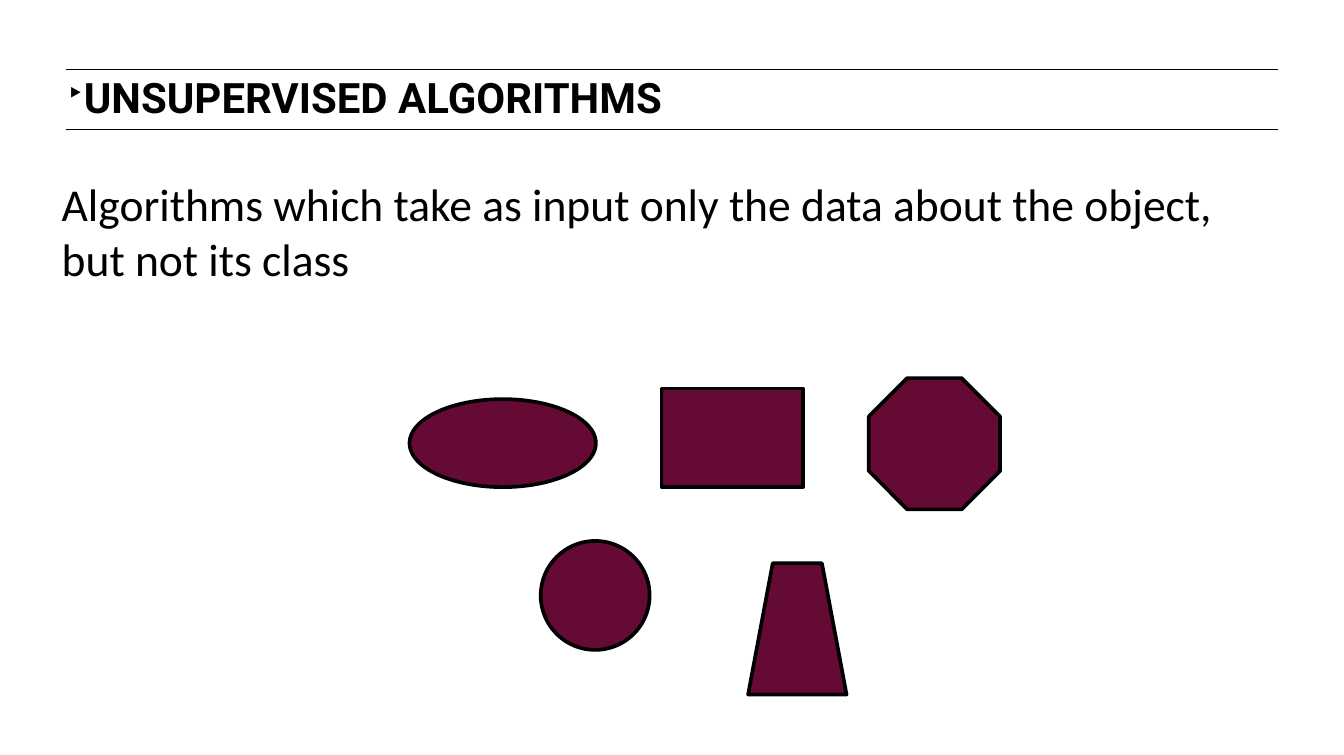
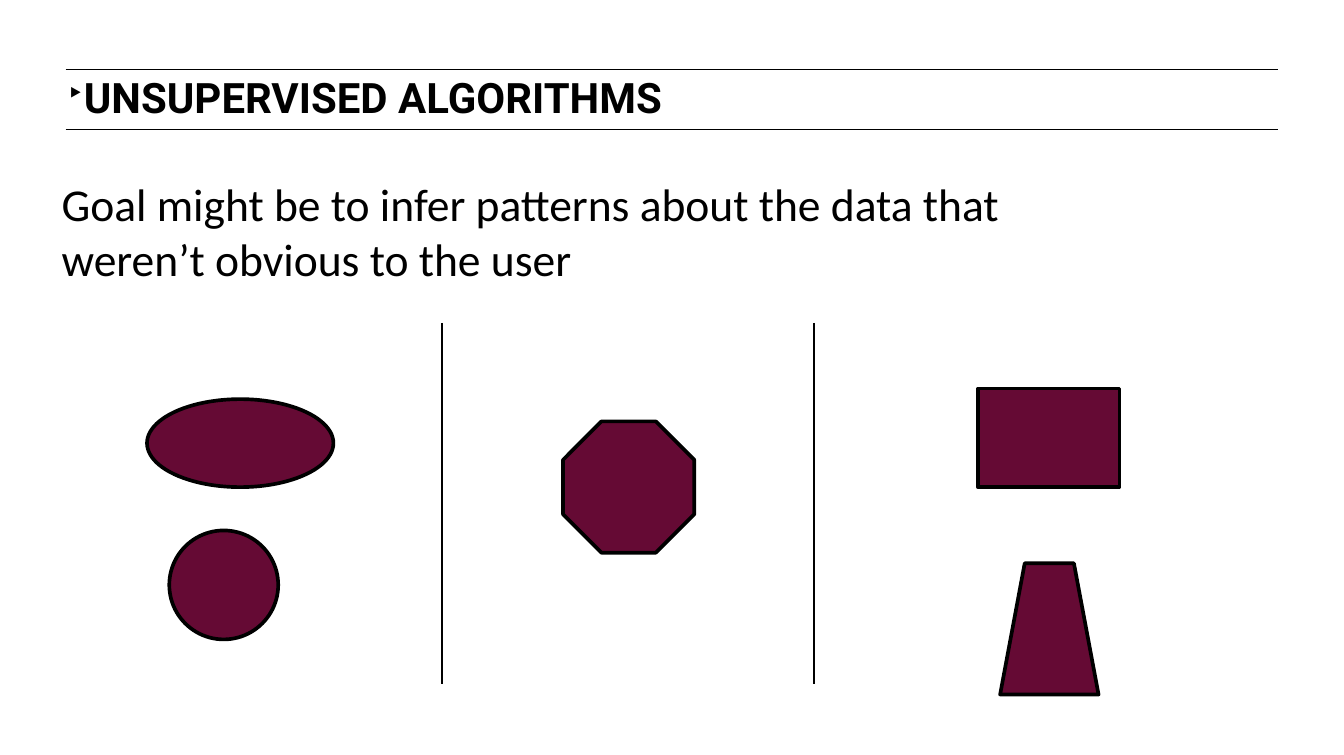
from dataclasses import dataclass

from lxml.etree import SubElement
from pptx import Presentation
from pptx.dml.color import RGBColor
from pptx.enum.shapes import MSO_CONNECTOR, MSO_SHAPE
from pptx.enum.text import MSO_ANCHOR, MSO_AUTO_SIZE, PP_ALIGN
from pptx.oxml.ns import qn
from pptx.shapes.autoshape import Shape
from pptx.shapes.connector import Connector
from pptx.slide import Slide, SlideLayout
from pptx.util import Inches, Pt


@dataclass(frozen=True)
class Theme:
    """Colours, fonts and sizes shared by the slides."""

    ink: RGBColor = RGBColor(0x00, 0x00, 0x00)
    paper: RGBColor = RGBColor(0xFF, 0xFF, 0xFF)
    plum: RGBColor = RGBColor(0x65, 0x0A, 0x34)
    title_font: str = "Roboto"
    body_font: str = "Calibri"
    title_size: Pt = Pt(23)
    title_leading: Pt = Pt(24.5)
    body_size: Pt = Pt(25)
    band_line: Pt = Pt(0.5)
    divider_line: Pt = Pt(1)
    outline: Pt = Pt(2)


@dataclass(frozen=True)
class Form:
    """A preset outline and its size in inches."""

    preset: MSO_SHAPE
    width: float
    height: float


@dataclass(frozen=True)
class Page:
    """The statement, object positions and dividers of one slide."""

    statement: str
    statement_width: float
    positions: dict[str, tuple[float, float]]
    dividers: tuple[float, ...] = ()


THEME = Theme()
TITLE = "UNSUPERVISED ALGORITHMS"
BAND_LEFT, BAND_RIGHT = 0.5, 9.74
BAND_RULES = (0.53, 0.99)
DIVIDER_TOP, DIVIDER_BOTTOM = 2.46, 5.21

FORMS = {
    "rectangle": Form(MSO_SHAPE.RECTANGLE, 1.08, 0.75),
    "circle": Form(MSO_SHAPE.OVAL, 0.83, 0.83),
    "ellipse": Form(MSO_SHAPE.OVAL, 1.42, 0.67),
    "octagon": Form(MSO_SHAPE.OCTAGON, 1, 1),
    "trapezoid": Form(MSO_SHAPE.TRAPEZOID, 0.75, 1),
}

PAGES = (
    Page(
        "Algorithms which take as input only the data about the object, but not its class",
        9,
        {
            "rectangle": (5.04, 2.96),
            "circle": (4.12, 4.12),
            "ellipse": (3.12, 3.04),
            "octagon": (6.62, 2.88),
            "trapezoid": (5.7, 4.29),
        },
    ),
    Page(
        "Goal might be to infer patterns about the data that weren’t obvious to the user",
        8.17,
        {
            "rectangle": (7.45, 2.96),
            "circle": (1.29, 4.04),
            "ellipse": (1.12, 3.04),
            "octagon": (4.29, 3.21),
            "trapezoid": (7.62, 4.29),
        },
        (3.37, 6.2),
    ),
)


def apply(target: object, values: dict[str, object]) -> None:
    """Set each named attribute on the target."""
    for name, value in values.items():
        setattr(target, name, value)


def add_line(
    slide: Slide, start: tuple[float, float], end: tuple[float, float], width: Pt
) -> Connector:
    """Draw a straight line without a shadow."""
    connector = slide.shapes.add_connector(
        MSO_CONNECTOR.STRAIGHT, *(Inches(value) for value in (*start, *end))
    )
    connector.line.color.rgb = THEME.ink
    connector.line.width = width
    SubElement(connector.element.spPr, qn("a:effectLst"))
    return connector


def add_band(layout: SlideLayout, slide: Slide) -> None:
    """Place the two title rules on the layout."""
    for number, top in enumerate(BAND_RULES, start=100):
        rule = add_line(slide, (BAND_LEFT, top), (BAND_RIGHT, top), THEME.band_line)
        rule.element.nvCxnSpPr.cNvPr.set("id", str(number))
        layout.shapes.element.append(rule.element)


def fill_placeholder(
    placeholder: Shape,
    text: str,
    box: tuple[float, float, float, float],
    font: dict[str, object],
    paragraph_format: dict[str, object],
    auto_size: MSO_AUTO_SIZE,
) -> None:
    """Move a placeholder, then write and format its text."""
    lengths = (Inches(value) for value in box)
    apply(placeholder, dict(zip(("left", "top", "width", "height"), lengths)))
    frame = placeholder.text_frame
    frame.text = text
    apply(
        frame,
        {"word_wrap": True, "vertical_anchor": MSO_ANCHOR.TOP, "auto_size": auto_size},
    )
    paragraph = frame.paragraphs[0]
    apply(
        paragraph,
        {"alignment": PP_ALIGN.LEFT, "space_before": Pt(0), **paragraph_format},
    )
    run = paragraph.runs[0]
    apply(run.font, font)
    run.font.color.rgb = THEME.ink


def set_bullet(placeholder: Shape, character: str = "", percent: int = 100) -> None:
    """Give the first paragraph a bullet without indent, or none."""
    properties = placeholder.text_frame.paragraphs[0]._p.get_or_add_pPr()
    properties.set("marL", "0")
    properties.set("indent", "0")
    if character:
        SubElement(properties, qn("a:buSzPct"), val=str(percent * 1000))
        SubElement(properties, qn("a:buChar"), char=character)
    else:
        SubElement(properties, qn("a:buNone"))


def add_form(slide: Slide, form: Form, left: float, top: float) -> None:
    """Draw one plum object with a black outline."""
    lengths = (Inches(value) for value in (left, top, form.width, form.height))
    shape = slide.shapes.add_shape(form.preset, *lengths)
    shape.shadow.inherit = False
    shape.fill.solid()
    shape.fill.fore_color.rgb = THEME.plum
    shape.line.color.rgb = THEME.ink
    shape.line.width = THEME.outline


def fill_slide(slide: Slide, page: Page) -> None:
    """Write the texts and draw the objects of one page."""
    title, body = slide.shapes.title, slide.placeholders[1]
    fill_placeholder(
        title,
        TITLE,
        (0.41, 0.54, 7, 0.33),
        {"name": THEME.title_font, "size": THEME.title_size, "bold": True},
        {"line_spacing": THEME.title_leading},
        MSO_AUTO_SIZE.NONE,
    )
    set_bullet(title, "‣", 69)
    fill_placeholder(
        body,
        page.statement,
        (0.37, 1.29, page.statement_width, 0.94),
        {"name": THEME.body_font, "size": THEME.body_size},
        {},
        MSO_AUTO_SIZE.SHAPE_TO_FIT_TEXT,
    )
    set_bullet(body)
    for name, (left, top) in page.positions.items():
        add_form(slide, FORMS[name], left, top)
    for left in page.dividers:
        add_line(
            slide, (left, DIVIDER_TOP), (left, DIVIDER_BOTTOM), THEME.divider_line
        )


def main() -> None:
    """Build and save the presentation."""
    presentation = Presentation()
    presentation.slide_width = Inches(10.24)
    presentation.slide_height = Inches(5.75)
    background = presentation.slide_master.background.fill
    background.solid()
    background.fore_color.rgb = THEME.paper
    layout = presentation.slide_layouts[1]
    slides = [presentation.slides.add_slide(layout) for _ in PAGES]
    add_band(layout, slides[0])
    for slide, page in zip(slides, PAGES):
        fill_slide(slide, page)
    presentation.save("out.pptx")


if __name__ == "__main__":
    main()
